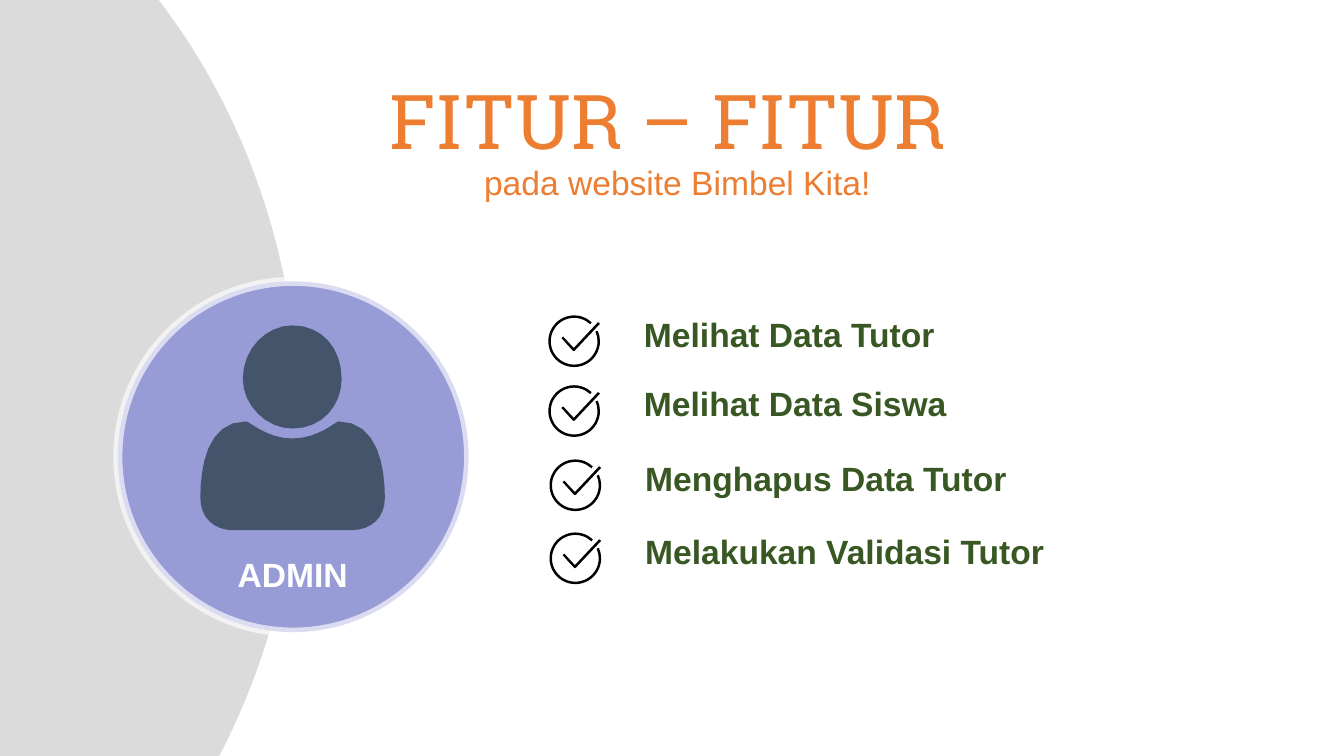
from typing import NamedTuple

from lxml import etree
from pptx import Presentation
from pptx.dml.color import RGBColor
from pptx.enum.shapes import MSO_SHAPE
from pptx.enum.text import MSO_ANCHOR, PP_ALIGN
from pptx.oxml.ns import qn
from pptx.util import Cm, Pt

OVAL, ARC = MSO_SHAPE.OVAL, MSO_SHAPE.ARC
TOP = MSO_ANCHOR.TOP
LEFT, CENTER = PP_ALIGN.LEFT, PP_ALIGN.CENTER

GREY = RGBColor(0xDB, 0xDB, 0xDB)
LILAC = RGBColor(0x97, 0x9B, 0xD6)
SLATE = RGBColor(0x44, 0x54, 0x6A)
ORANGE = RGBColor(0xED, 0x7D, 0x31)
GREEN = RGBColor(0x38, 0x57, 0x23)
WHITE = RGBColor(0xFF, 0xFF, 0xFF)
BLACK = RGBColor(0x00, 0x00, 0x00)

HEADLINE = {"name": "Roboto Slab", "size": Pt(54), "bold": False}
SUBTITLE = {"name": "Arial", "size": Pt(24), "bold": False}
LABEL = {"name": "Arial", "size": Pt(24), "bold": True}

Point = tuple[float, float]
Curve = tuple[Point, Point, Point]


class Feature(NamedTuple):
    text: str
    icon_left: float
    top: float
    width: float


class Outline(NamedTuple):
    start: Point
    curves: list[Curve]


FEATURES = [
    Feature("Melihat Data Tutor", 13.82, 7.9, 7.39),
    Feature("Melihat Data Siswa", 13.82, 9.66, 7.7),
    Feature("Menghapus Data Tutor", 13.85, 11.53, 9.19),
    Feature("Melakukan Validasi Tutor", 13.85, 13.37, 10.13),
]

# Person symbol, in cm on the slide
BODY = Outline((8.86, 13.36), [
    ((8.86, 13.36), (5.87, 13.36), (5.87, 13.36)),
    ((5.38, 13.36), (5.05, 13.03), (5.05, 12.55)),
    ((5.05, 11.79), (5.21, 10.62), (6.2, 10.62)),
    ((6.3, 10.62), (6.71, 11.05), (7.37, 11.05)),
    ((8.03, 11.05), (8.46, 10.62), (8.53, 10.62)),
    ((9.53, 10.62), (9.7, 11.79), (9.7, 12.55)),
    ((9.7, 13.03), (9.37, 13.36), (8.86, 13.36)),
])
HEAD = Outline((7.37, 10.8), [
    ((6.71, 10.8), (6.12, 10.21), (6.12, 9.55)),
    ((6.12, 8.79), (6.71, 8.2), (7.37, 8.2)),
    ((8.13, 8.2), (8.61, 8.79), (8.61, 9.55)),
    ((8.61, 10.21), (8.13, 10.8), (7.37, 10.8)),
])

# Check icon: open ring and a tick, in cm around the centre
RING_RADIUS = 0.62
RING_ANGLES = (336, 313)
ADJUSTMENT_PER_DEGREE = 0.6
TICK = [(-0.32, -0.08), (-0.28, -0.12), (-0.01, 0.17), (0.6, -0.48),
        (0.65, -0.44), (0.02, 0.23), (-0.01, 0.25), (-0.04, 0.23)]


def sample(outline: Outline, steps: int = 8) -> list[Point]:
    """Turn cubic curves into a polygon."""
    points = [outline.start]
    for curve in outline.curves:
        anchors = (points[-1], *curve)
        for step in range(1, steps + 1):
            t = step / steps
            weights = ((1 - t) ** 3, 3 * t * (1 - t) ** 2, 3 * t * t * (1 - t), t ** 3)
            points.append((sum(w * a[0] for w, a in zip(weights, anchors)),
                           sum(w * a[1] for w, a in zip(weights, anchors))))
    return points


def paint(shape, fill: RGBColor) -> None:
    shape.shadow.inherit = False
    shape.fill.solid()
    shape.fill.fore_color.rgb = fill
    shape.line.fill.background()


def add_outline(shapes, points: list[Point], fill: RGBColor,
                x: float = 0, y: float = 0) -> None:
    placed = [(Cm(x + px), Cm(y + py)) for px, py in points]
    builder = shapes.build_freeform(*placed[0], scale=1.0)
    builder.add_line_segments(placed[1:], close=True)
    paint(builder.convert_to_shape(), fill)


def add_oval(shapes, left: float, top: float, width: float, height: float, fill: RGBColor):
    oval = shapes.add_shape(OVAL, Cm(left), Cm(top), Cm(width), Cm(height))
    paint(oval, fill)
    return oval


def add_run(paragraph, text: str, style: dict, color: RGBColor) -> None:
    run = paragraph.add_run()
    run.text = text
    for attribute, value in style.items():
        setattr(run.font, attribute, value)
    run.font.color.rgb = color


def add_text_area(shapes, left: float, top: float, width: float, height: float,
                  align, inset: float = 0, wrap: bool = True):
    frame = shapes.add_textbox(Cm(left), Cm(top), Cm(width), Cm(height)).text_frame
    settings = {"word_wrap": wrap, "vertical_anchor": TOP}
    settings |= {f"margin_{side}": Cm(inset) for side in ("left", "top", "right", "bottom")}
    for attribute, value in settings.items():
        setattr(frame, attribute, value)
    paragraph = frame.paragraphs[0]
    paragraph.alignment = align
    return paragraph


def add_check(shapes, x: float, y: float) -> None:
    """Draw the check icon around the centre x, y."""
    ring = shapes.add_shape(ARC, Cm(x - RING_RADIUS), Cm(y - RING_RADIUS),
                            Cm(2 * RING_RADIUS), Cm(2 * RING_RADIUS))
    ring.shadow.inherit = False
    ring.fill.background()
    ring.line.color.rgb = BLACK
    ring.line.width = Pt(1.75)
    for index, angle in enumerate(RING_ANGLES):
        ring.adjustments[index] = angle * ADJUSTMENT_PER_DEGREE
    add_outline(shapes, TICK, BLACK, x, y)


def add_feature(shapes, feature: Feature) -> None:
    label = add_text_area(shapes, feature.icon_left + 2.41, feature.top,
                          feature.width, 1.02, LEFT, wrap=False)
    add_run(label, feature.text, LABEL, GREEN)
    add_check(shapes, feature.icon_left + 0.65, feature.top + 0.7)


def main() -> None:
    deck = Presentation()
    deck.slide_width, deck.slide_height = Cm(33.87), Cm(19.05)
    shapes = deck.slides.add_slide(deck.slide_layouts[6]).shapes

    # Grey backdrop
    add_oval(shapes, -21.11, -5.56, 28.65, 32.56, GREY)

    # Admin badge with a translucent rim
    badge = add_oval(shapes, 2.97, 7.09, 8.84, 8.84, LILAC)
    badge.line.color.rgb = WHITE
    badge.line.width = Pt(6.5)
    rim_color = badge._element.spPr.find(f"{qn('a:ln')}//{qn('a:srgbClr')}")
    etree.SubElement(rim_color, qn("a:alpha"), val="65000")
    add_run(add_text_area(shapes, 4.34, 13.97, 6.07, 1.02, CENTER), "ADMIN", LABEL, WHITE)
    for part in (BODY, HEAD):
        add_outline(shapes, sample(part), SLATE)

    # Feature list
    for feature in FEATURES:
        add_feature(shapes, feature)

    # Title
    title = add_text_area(shapes, 5.64, 1.88, 22.86, 3.15, CENTER, inset=0.25)
    title.line_spacing = 0.9
    add_run(title, "FITUR – FITUR ", HEADLINE, ORANGE)
    title.add_line_break()
    add_run(title, "pada website Bimbel Kita!", SUBTITLE, ORANGE)

    deck.save("out.pptx")


if __name__ == "__main__":
    main()
